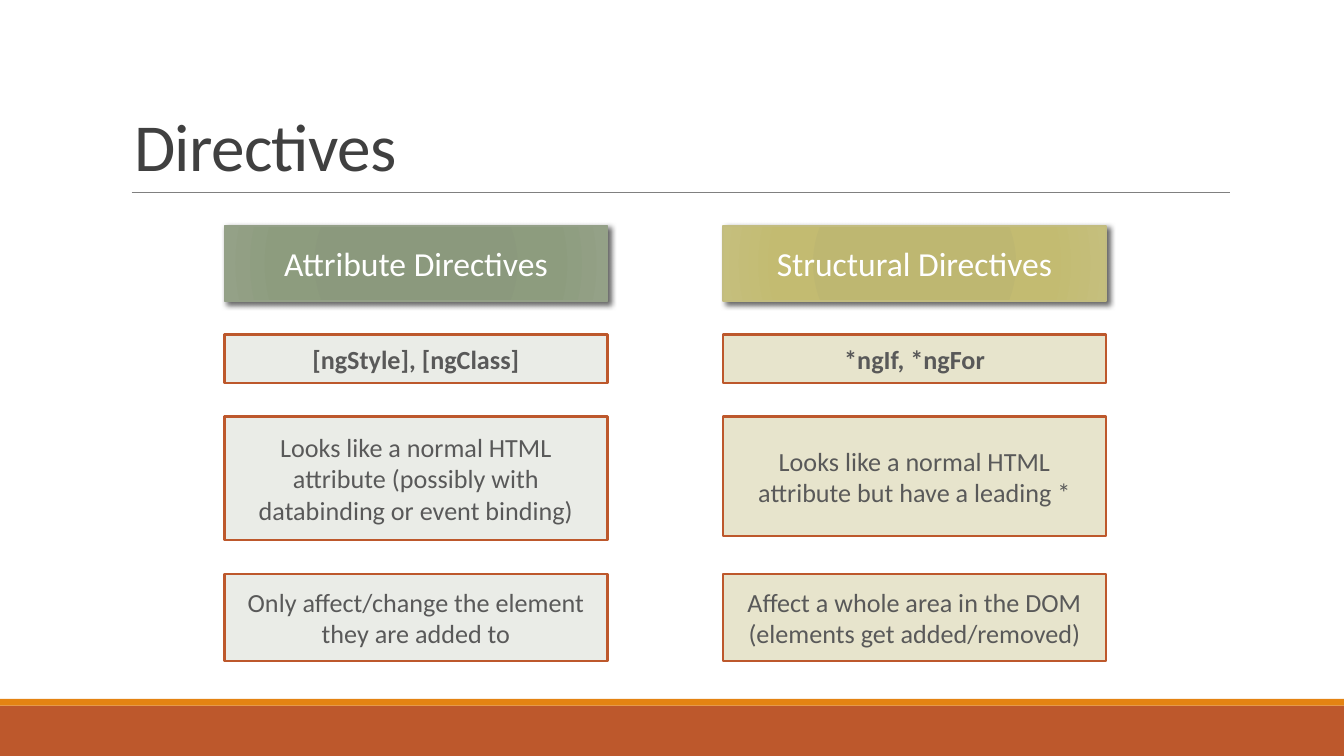
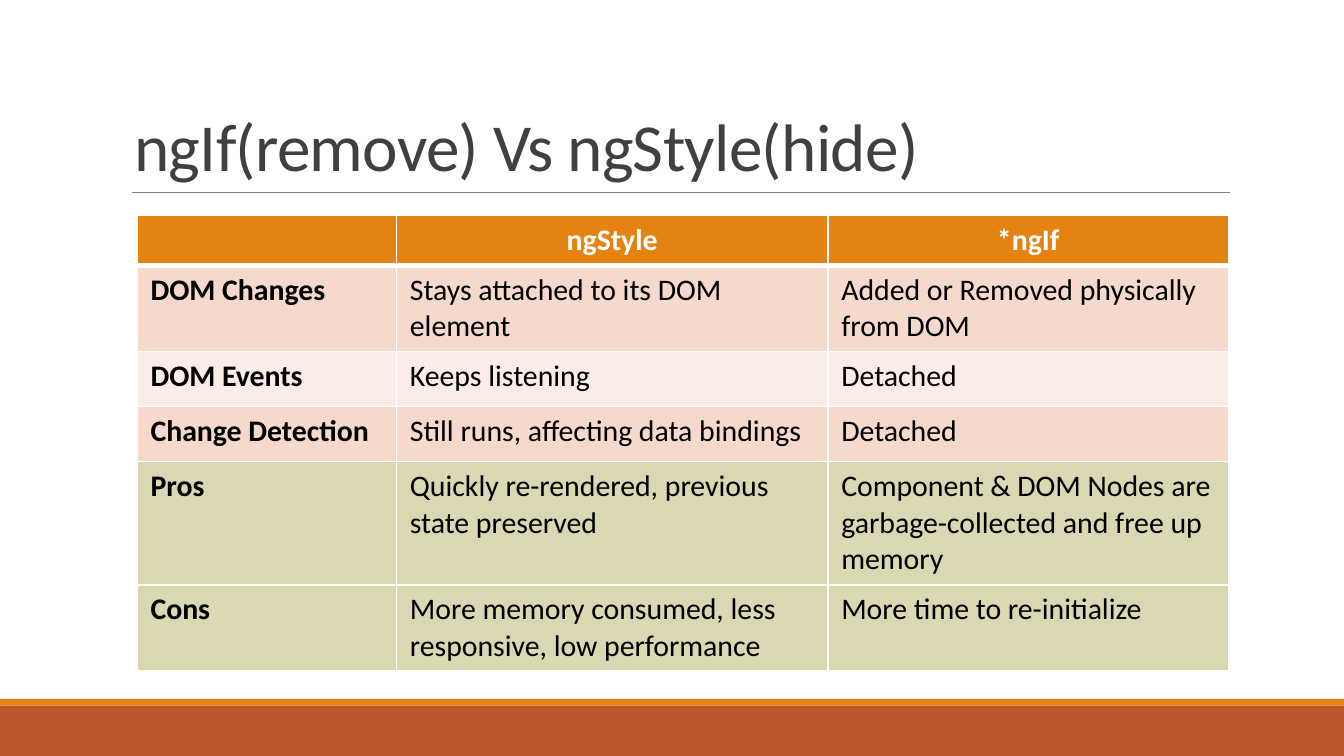
from lxml import etree
from pptx import Presentation
from pptx.dml.color import RGBColor
from pptx.enum import shapes, text
from pptx.oxml import parse_xml
from pptx.oxml.ns import nsdecls, qn
from pptx.util import Inches, Pt

FONT = "Calibri"
WIDE = 10
HIGH = WIDE * 9 / 16
RUST, ORANGE, WHITE = "BD582C", "E48312", "FFFFFF"
INK, GREY, BLACK = "404040", "595959", "000000"
RULE = "808080"
PINK, PALE, OLIVE = "F5D9CC", "FAEDE7", "DAD7B3"
MID = text.PP_ALIGN.CENTER

HEADS = [
    dict(label="Attribute Directives", left=1.67, edge="94A088", pale="EAECE7",
         stops=["8A987B", "8B997D", "8D9C7E", "94A187"],
         rows=[("[ngStyle], [ngClass]", 0.36),
               ("Looks like a normal HTML attribute (possibly with "
                "databinding or event binding)", 0.92),
               ("Only affect/change the element they are added to", 0.65)]),
    dict(label="Structural Directives", left=5.38, edge="C2BC80", pale="E7E4CC",
         stops=["BEB76E", "BEB771", "C3BB71", "C5BF7D"],
         rows=[("*ngIf, *ngFor", 0.36),
               ("Looks like a normal HTML attribute but have a leading *", 0.89),
               ("Affect a whole area in the DOM (elements get added/removed)",
                0.65)]),
]
TOPS = [2.49, 3.1, 4.27]

ROWS = [
    (ORANGE, 0.33, "", "ngStyle", "*ngIf"),
    (PINK, 0.41, "DOM Changes", "Stays attached to its DOM element",
     "Added or Removed physically from DOM"),
    (PALE, 0.41, "DOM Events", "Keeps listening", "Detached"),
    (PINK, 0.41, "Change Detection", "Still runs, affecting data bindings",
     "Detached"),
    (OLIVE, 0.41, "Pros", "Quickly re-rendered, previous state preserved",
     "Component & DOM Nodes are garbage-collected and free up memory"),
    (OLIVE, 0.41, "Cons",
     "More memory consumed, less responsive, low performance",
     "More time to re-initialize"),
]
COLS = [1.93, 3.21, 2.98]


def paint(code):
    return RGBColor.from_string(code)


def write(frame, words, size, color, bold=False, align=None):
    para = frame.paragraphs[0]
    para.alignment = align
    if not words:
        end = etree.SubElement(para._p, qn("a:endParaRPr"))
        end.set("sz", str(size * 100))
        return None
    run = para.add_run()
    run.text = words
    looks = dict(name=FONT, size=Pt(size), bold=bold)
    for key, value in looks.items():
        setattr(run.font, key, value)
    run.font.color.rgb = paint(color)
    return run


def box(slide, at, fill, edge=None, width=1.25):
    shape = slide.shapes.add_shape(shapes.MSO_SHAPE.RECTANGLE,
                                   *map(Inches, at))
    shape.shadow.inherit = False
    shape.fill.solid()
    shape.fill.fore_color.rgb = paint(fill)
    if edge:
        shape.line.color.rgb = paint(edge)
        shape.line.width = Pt(width)
    else:
        shape.line.fill.background()
    return shape


def label(shape, words, size, color, bold=False):
    frame = shape.text_frame
    frame.word_wrap = True
    frame.vertical_anchor = text.MSO_ANCHOR.MIDDLE
    write(frame, words, size, color, bold, MID)


def shade(shape, stops):
    marks = "".join(
        f'<a:gs pos="{pos}000"><a:srgbClr val="{code}"/></a:gs>'
        for pos, code in zip([0, 34, 70, 100], stops))
    grad = parse_xml(
        f'<a:gradFill {nsdecls("a")} rotWithShape="1"><a:gsLst>{marks}</a:gsLst>'
        '<a:path path="circle"><a:fillToRect l="100000" t="100000" '
        'r="100000" b="100000"/></a:path></a:gradFill>')
    props = shape._element.spPr
    props.replace(props.find(qn("a:solidFill")), grad)
    glow = parse_xml(
        f'<a:outerShdw {nsdecls("a")} blurRad="{Pt(3)}" dist="{Pt(2)}" '
        f'dir="{45 * 60000}" rotWithShape="0"><a:srgbClr val="{BLACK}">'
        '<a:alpha val="60000"/></a:srgbClr></a:outerShdw>')
    props.find(qn("a:effectLst")).append(glow)


def start(deck, words):
    slide = deck.slides.add_slide(deck.slide_layouts[5])
    box(slide, (0, 5.25, WIDE, HIGH - 5.25), RUST)
    box(slide, (0, 5.2, WIDE, 0.05), ORANGE)
    line = slide.shapes.add_connector(
        shapes.MSO_CONNECTOR.STRAIGHT, *map(Inches, (0.98, 1.43, 9.15, 1.43)))
    line.line.color.rgb = paint(RULE)
    line.line.width = Pt(0.5)
    etree.SubElement(line._element.spPr, qn("a:effectLst"))
    title = slide.shapes.title
    spot = dict(left=0.9, top=0.24, width=8.25, height=1.19)
    for key, value in spot.items():
        setattr(title, key, Inches(value))
    frame = title.text_frame
    frame.auto_size = text.MSO_AUTO_SIZE.NONE
    frame.word_wrap = True
    frame.vertical_anchor = text.MSO_ANCHOR.BOTTOM
    run = write(frame, words, 36, INK, align=text.PP_ALIGN.LEFT)
    run.font._element.set("spc", "-40")
    frame.paragraphs[0].line_spacing = 0.85
    return slide


def column(slide, head):
    left, wide = head["left"], 2.85
    top = box(slide, (left, 1.68, wide, 0.56), head["stops"][0],
              head["edge"], 1)
    shade(top, head["stops"])
    label(top, head["label"], 18, WHITE)
    for i, (y, (words, tall)) in enumerate(zip(TOPS, head["rows"])):
        card = box(slide, (left, y, wide, tall), head["pale"], RUST)
        label(card, words, 14, GREY, i == 0)


def border(cell, row):
    props = cell._tc.get_or_add_tcPr()
    thick = {0: "B", 1: "T"}.get(row)
    for side in "LRTB":
        width = Pt(3 if side == thick else 1)
        props.append(parse_xml(
            f'<a:ln{side} {nsdecls("a")} w="{width}"><a:solidFill>'
            f'<a:srgbClr val="{WHITE}"/></a:solidFill></a:ln{side}>'))


def grid(slide):
    tall = sum(row[1] for row in ROWS)
    table = slide.shapes.add_table(
        len(ROWS), len(COLS),
        *map(Inches, (1.02, 1.6, sum(COLS), tall))).table
    for i, wide in enumerate(COLS):
        table.columns[i].width = Inches(wide)
    for r, (fill, high, *words) in enumerate(ROWS):
        table.rows[r].height = Inches(high)
        for c, word in enumerate(words):
            cell = table.cell(r, c)
            border(cell, r)
            cell.fill.solid()
            cell.fill.fore_color.rgb = paint(fill)
            write(cell.text_frame, word, 16, BLACK if r else WHITE,
                  r == 0 or c == 0, None if r else MID)


def main():
    deck = Presentation()
    deck.slide_width, deck.slide_height = Inches(WIDE), Inches(HIGH)
    first = start(deck, "Directives")
    for head in HEADS:
        column(first, head)
    grid(start(deck, "ngIf(remove) Vs ngStyle(hide)"))
    deck.save("out.pptx")


main()
